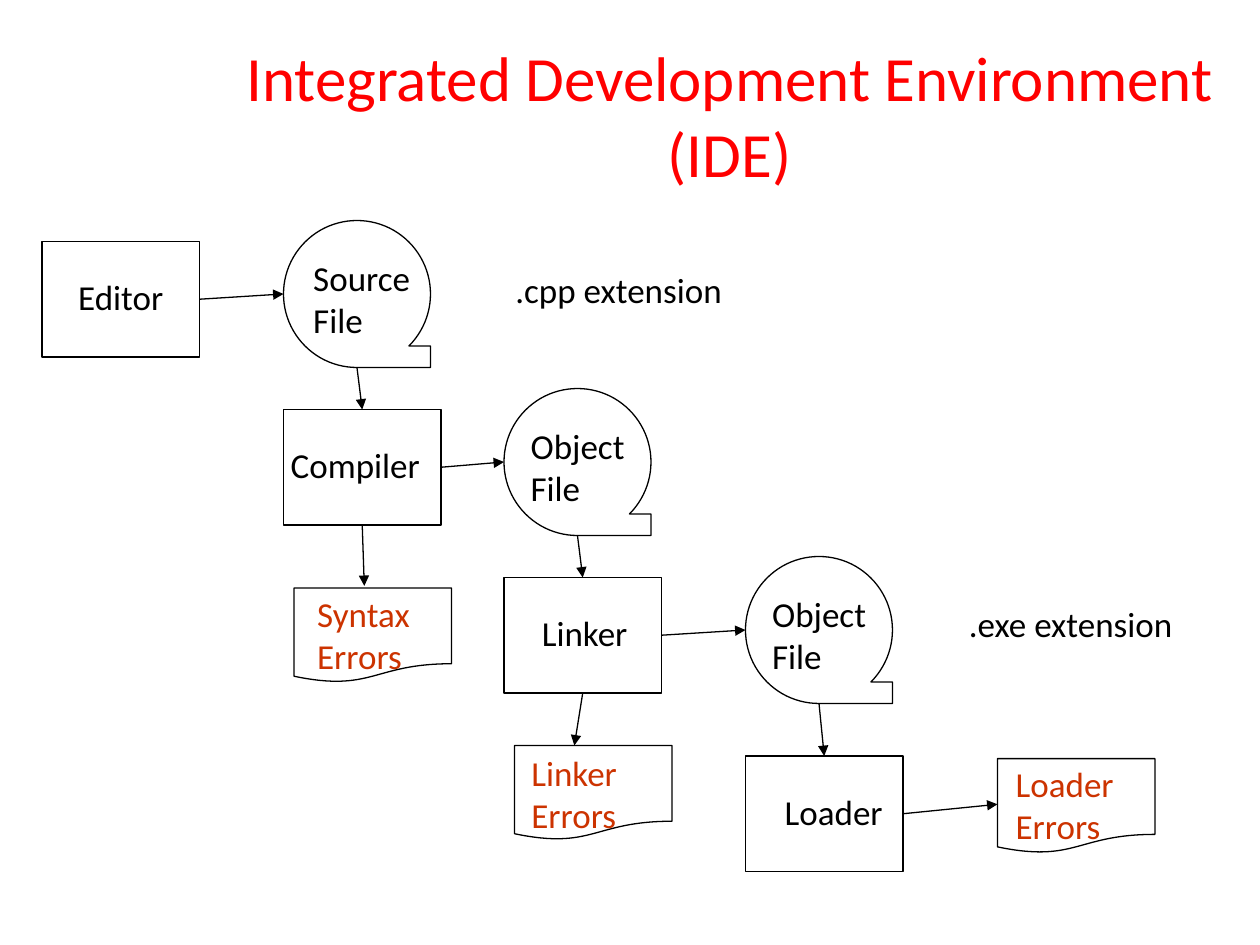
from pptx import Presentation, util as u
from pptx.dml.color import RGBColor
from pptx.enum import shapes, text
from pptx.oxml import parse_xml
from pptx.oxml.ns import nsdecls, qn

COLUMNS, ROWS = 120, 90
INK, ERROR, HEADING = "000000", "CC3300", "FF0000"

deck = Presentation()
deck.slide_width, deck.slide_height = u.Inches(10), u.Inches(7.5)
slide = deck.slides.add_slide(deck.slide_layouts[6])
column, row = deck.slide_width / COLUMNS, deck.slide_height / ROWS


def place(left, top, width, height):
    return [round(n * step) for n, step in zip((left, top, width, height), (column, row) * 2)]


def write(lines, area, colour, size=20, **frame_format):
    frame = slide.shapes.add_textbox(*place(*area)).text_frame
    for key, value in frame_format.items():
        setattr(frame, key, value)
    frame.text = "\n".join(lines)
    for paragraph in frame.paragraphs:
        paragraph.font.color.rgb = RGBColor.from_string(colour)
        for key, value in {"name": "Calibri", "size": u.Pt(size)}.items():
            setattr(paragraph.font, key, value)
    return frame


title = write(["Integrated Development Environment (IDE)"], (19, 2, 101, 17.75), HEADING, 36,
              word_wrap=True, vertical_anchor=text.MSO_ANCHOR.MIDDLE)
title.paragraphs[0].alignment = text.PP_ALIGN.CENTER

kinds = shapes.MSO_SHAPE
parts = {
    kinds.FLOWCHART_SEQUENTIAL_ACCESS_STORAGE: ((14, 14), [(27, 21), (48, 37), (71, 53)]),
    kinds.FLOWCHART_PROCESS: ((15, 11), [(4, 23), (27, 39), (48, 55), (71, 72)]),
    kinds.FLOWCHART_DOCUMENT: ((15, 9), [(28, 56), (49, 71), (95, 72.25)]),
}
drawn = {}
for kind, (extent, corners) in parts.items():
    drawn[kind] = []
    for corner in corners:
        part = slide.shapes.add_shape(kind, *place(*corner, *extent))
        part.shadow.inherit = False
        part.fill.background()
        part.line.color.rgb = RGBColor.from_string(INK)
        part.line.width = u.Pt(0.75)
        drawn[kind].append(part)

editor, compiler, linker, loader = drawn[kinds.FLOWCHART_PROCESS]
TOP, BOTTOM, RIGHT = 0, 2, 3
arrows = [
    ((19, 28.5), (27, 28), (editor, RIGHT), None),
    ((34, 35), (34.5, 39), None, (compiler, TOP)),
    ((42, 44.5), (48, 44), (compiler, RIGHT), None),
    ((55, 51), (55.5, 55), None, (linker, TOP)),
    ((63, 60.5), (71, 60), (linker, RIGHT), None),
    ((78, 67), (78.5, 72), None, (loader, TOP)),
    ((34.5, 50), (34.7, 55.8), (compiler, BOTTOM), None),
    ((55.5, 66), (54.7, 71), (linker, BOTTOM), None),
    ((86, 77.5), (95, 76.6), (loader, RIGHT), None),
]
for start, end, source, target in arrows:
    arrow = slide.shapes.add_connector(shapes.MSO_CONNECTOR.STRAIGHT, *place(*start, *end))
    if source:
        arrow.begin_connect(*source)
    if target:
        arrow.end_connect(*target)
    arrow.line.color.rgb = RGBColor.from_string(INK)
    arrow.line.width = u.Pt(0.75)
    properties = arrow._element.spPr
    properties.find(qn("a:ln")).append(parse_xml(f'<a:tailEnd {nsdecls("a")} type="triangle"/>'))
    properties.append(parse_xml(f'<a:effectLst {nsdecls("a")}/>'))

labels = [
    (["Editor"], 6.27, 25.62, 10.7, INK),
    (["Source", "File"], 28.65, 23.81, 11.9, INK),
    (["Compiler"], 26.5, 41.62, 14.9, INK),
    (["Object", "File"], 49.35, 39.81, 11.6, INK),
    (["Linker"], 50.42, 57.62, 10.9, INK),
    (["Object", "File"], 72.35, 55.81, 11.6, INK),
    (["Loader"], 73.55, 74.65, 12, INK),
    ([".cpp extension"], 47.9, 25, 22.4, INK),
    ([".exe extension"], 91.1, 56.8, 22.3, INK),
    (["Syntax", "Errors"], 29.02, 55.81, 11.6, ERROR),
    (["Linker", "Errors"], 49.42, 71, 10.9, ERROR),
    (["Loader", "Errors"], 95.55, 72, 12, ERROR),
]
for lines, left, top, width, colour in labels:
    write(lines, (left, top, width, 1.25 + 4 * len(lines)), colour,
          word_wrap=False, auto_size=text.MSO_AUTO_SIZE.SHAPE_TO_FIT_TEXT)

deck.save("out.pptx")
